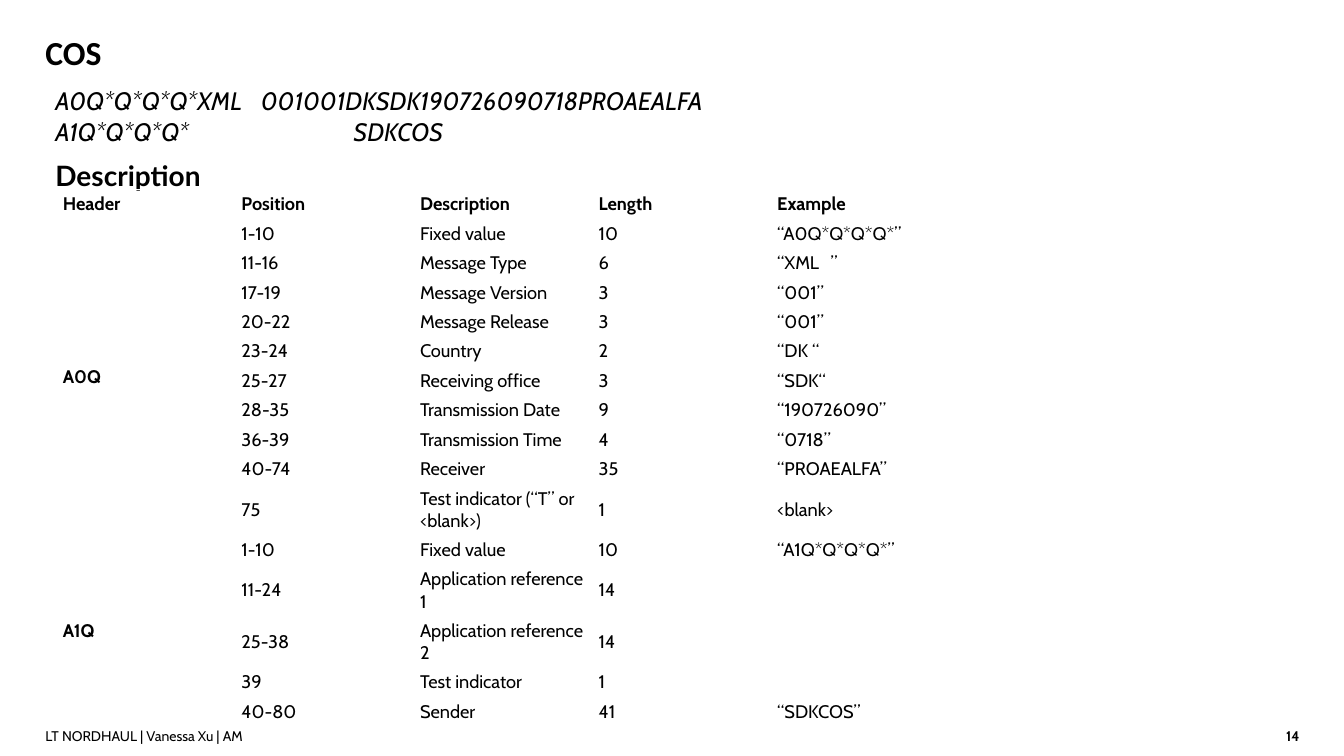
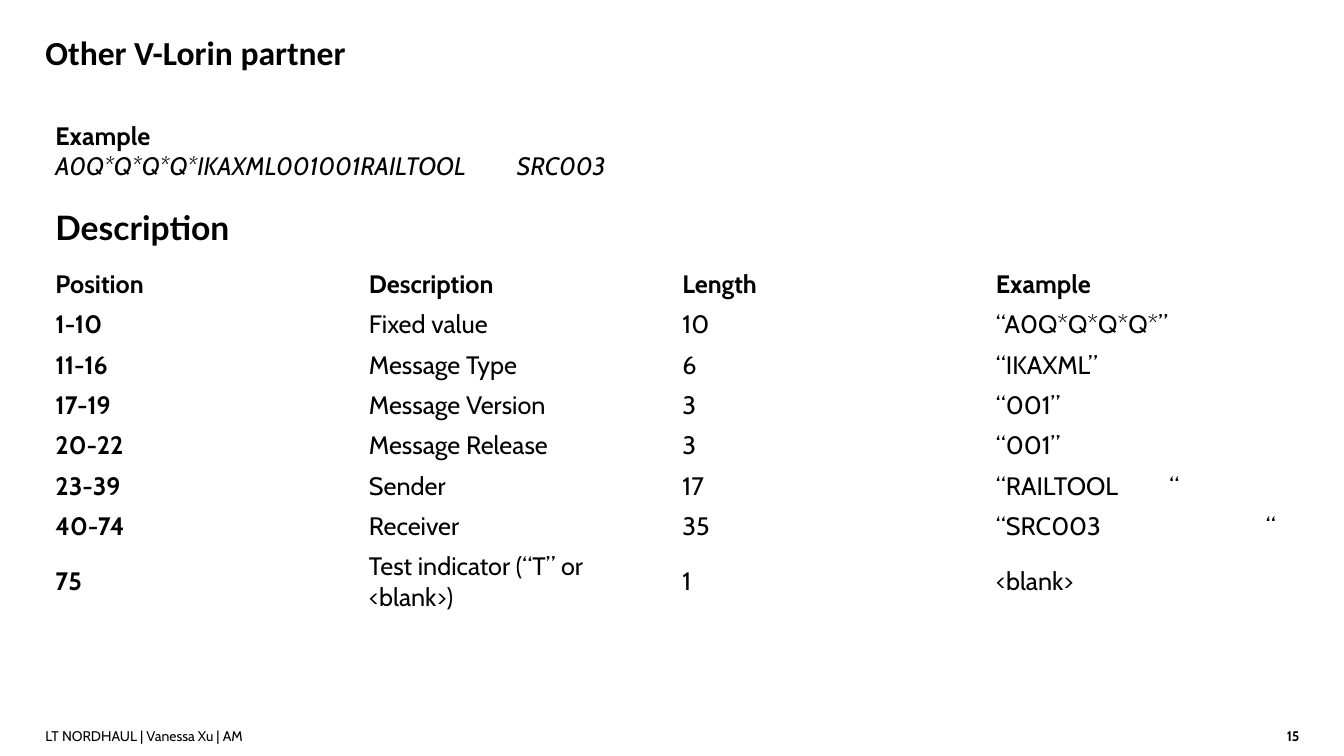
"""Build two slides that describe the header layout of fixed-width messages."""
from dataclasses import dataclass

from lxml import etree
from pptx import Presentation, util as u
from pptx.dml.color import RGBColor
from pptx.enum import text as t
from pptx.oxml.ns import qn


@dataclass(frozen=True)
class Theme:
    ink: RGBColor = RGBColor(0, 0, 0)
    title_font: str = "Calibri"
    heading_font: str = "Lato"
    body_font: str = "Cabin"
    title_size: int = 24
    sample_size: int = 18
    footer_size: int = 10


theme = Theme()
deck = Presentation()
deck.slide_width, deck.slide_height = u.Inches(13.33), u.Inches(7.5)
COL, ROW = deck.slide_width / 100, deck.slide_height / 100
MARGIN = 3.38
FOOTER_TOP, FOOTER_HEIGHT = 95.2, 3.2

TAB_STOPS = {
    "A0Q*Q*Q*Q*XML": 15.3,
    "A1Q*Q*Q*Q*": 22.2,
    "A0Q*Q*Q*Q*IKAXML001001RAILTOOL": 34.35,
    "“XML": 3.98,
    "“RAILTOOL": 12.9,
    "“SRC003": 20.1,
}

PAGES = [
    {
        "title": "COS",
        "sample": [
            ("A0Q*Q*Q*Q*XML\t001001DKSDK190726090718PROAEALFA", False, True),
            ("A1Q*Q*Q*Q*\tSDKCOS", False, True),
        ],
        "sample_top": 10.67,
        "heading": (20.13, 6, 20),
        "table": (4.13, 25.07, 66.45),
        "size": 13,
        "cell_margins": (0.55, 0.5),
        "row_heights": (3.73, 6.67),
        "tall_rows": (10, 12, 13),
        "merges": [(1, 10), (11, 15)],
        "rows": [
            ("Header", "Position", "Description", "Length", "Example"),
            ("A0Q", "1-10", "Fixed value", "10", "“A0Q*Q*Q*Q*”"),
            ("", "11-16", "Message Type", "6", "“XML\t”"),
            ("", "17-19", "Message Version", "3", "“001”"),
            ("", "20-22", "Message Release", "3", "“001”"),
            ("", "23-24", "Country", "2", "“DK “"),
            ("", "25-27", "Receiving office", "3", "“SDK“"),
            ("", "28-35", "Transmission Date", "9", "“190726090”"),
            ("", "36-39", "Transmission Time", "4", "“0718”"),
            ("", "40-74", "Receiver", "35", "“PROAEALFA”"),
            ("", "75", "Test indicator (“T” or <blank>)", "1", "<blank>"),
            ("A1Q", "1-10", "Fixed value", "10", "“A1Q*Q*Q*Q*”"),
            ("", "11-24", "Application reference 1", "14", ""),
            ("", "25-38", "Application reference 2", "14", ""),
            ("", "39", "Test indicator", "1", ""),
            ("", "40-80", "Sender", "41", "“SDKCOS”"),
        ],
    },
    {
        "title": "Other V-Lorin partner",
        "sample": [
            ("Example", True, False),
            ("A0Q*Q*Q*Q*IKAXML001001RAILTOOL\tSRC003", False, True),
        ],
        "sample_top": 15.2,
        "heading": (26.4, 7.2, 24),
        "table": (MARGIN, 34.93, 93.3),
        "size": 18,
        "cell_margins": (0.75, 0.67),
        "row_heights": (5.33, 9.33),
        "tall_rows": (7,),
        "merges": [],
        "rows": [
            ("Position", "Description", "Length", "Example"),
            ("1-10", "Fixed value", "10", "“A0Q*Q*Q*Q*”"),
            ("11-16", "Message Type", "6", "“IKAXML”"),
            ("17-19", "Message Version", "3", "“001”"),
            ("20-22", "Message Release", "3", "“001”"),
            ("23-39", "Sender", "17", "“RAILTOOL\t“"),
            ("40-74", "Receiver", "35", "“SRC003\t“"),
            ("75", "Test indicator (“T” or <blank>)", "1", "<blank>"),
        ],
    },
]


def place(left, top, width, height):
    """Turn shares of the slide into lengths."""
    return int(left * COL), int(top * ROW), int(width * COL), int(height * ROW)


def write(frame, lines, size, font=theme.body_font, margin=None, align=None):
    """Fill a text frame with (text, bold, italic) lines."""
    frame.text = "\n".join(line for line, _, _ in lines)
    frame.word_wrap = True
    if margin is not None:
        frame.margin_left = frame.margin_right = margin
        frame.margin_top = frame.margin_bottom = margin
    for para, (line, bold, italic) in zip(frame.paragraphs, lines):
        para.alignment = align or t.PP_ALIGN.LEFT
        if "\t" in line:
            stops = etree.SubElement(para._p.get_or_add_pPr(), qn("a:tabLst"))
            stop = int(TAB_STOPS[line.split("\t")[0]] * COL)
            etree.SubElement(stops, qn("a:tab"), pos=str(stop), algn="l")
        for span in para.runs:
            span.font.name, span.font.size = font, u.Pt(size)
            span.font.bold, span.font.italic = bold, italic
            span.font.color.rgb = theme.ink
        if not line:
            etree.SubElement(para._p, qn("a:endParaRPr"), sz=str(size * 100))


for number, content in enumerate(PAGES, start=14):
    page = deck.slides.add_slide(deck.slide_layouts[5])

    title = page.shapes.title
    title.left, title.top, title.width, title.height = place(MARGIN, 4.27, 72.1, 12.13)
    write(title.text_frame, [(content["title"], True, False)],
          theme.title_size, theme.title_font, margin=0)
    title.text_frame.vertical_anchor = t.MSO_ANCHOR.TOP
    title.text_frame.auto_size = t.MSO_AUTO_SIZE.NONE

    for label, left, width, bold, align in (
        ("LT NORDHAUL | Vanessa Xu | AM", MARGIN, 86.8, False, t.PP_ALIGN.LEFT),
        (str(number), 92.25, 4.43, True, t.PP_ALIGN.RIGHT),
    ):
        footer = page.shapes.add_textbox(*place(left, FOOTER_TOP, width, FOOTER_HEIGHT))
        write(footer.text_frame, [(label, bold, False)], theme.footer_size,
              margin=0, align=align)
        footer.text_frame.vertical_anchor = t.MSO_ANCHOR.BOTTOM

    sample = page.shapes.add_textbox(*place(MARGIN, content["sample_top"], 71.3, 9.47))
    write(sample.text_frame, content["sample"], theme.sample_size)

    top, height, size = content["heading"]
    heading = page.shapes.add_textbox(*place(MARGIN, top, 25, height))
    write(heading.text_frame, [("Description", True, False)], size, theme.heading_font)
    heading.text_frame.vertical_anchor = t.MSO_ANCHOR.MIDDLE

    rows = content["rows"]
    normal, tall = content["row_heights"]
    heights = [tall if r in content["tall_rows"] else normal for r in range(len(rows))]
    table = page.shapes.add_table(
        len(rows), len(rows[0]), *place(*content["table"], sum(heights))).table
    table.first_row = table.horz_banding = False
    for first, last in content["merges"]:
        table.cell(first, 0).merge(table.cell(last, 0))
    side, edge = content["cell_margins"]
    for r, row in enumerate(rows):
        table.rows[r].height = int(heights[r] * ROW)
        for c, value in enumerate(row):
            cell = table.cell(r, c)
            cell.fill.background()
            cell.vertical_anchor = t.MSO_ANCHOR.MIDDLE
            cell.margin_left = cell.margin_right = int(side * COL)
            cell.margin_top = cell.margin_bottom = int(edge * ROW)
            write(cell.text_frame, [(value, r == 0 or c == 0, False)], content["size"])

deck.save("out.pptx")
